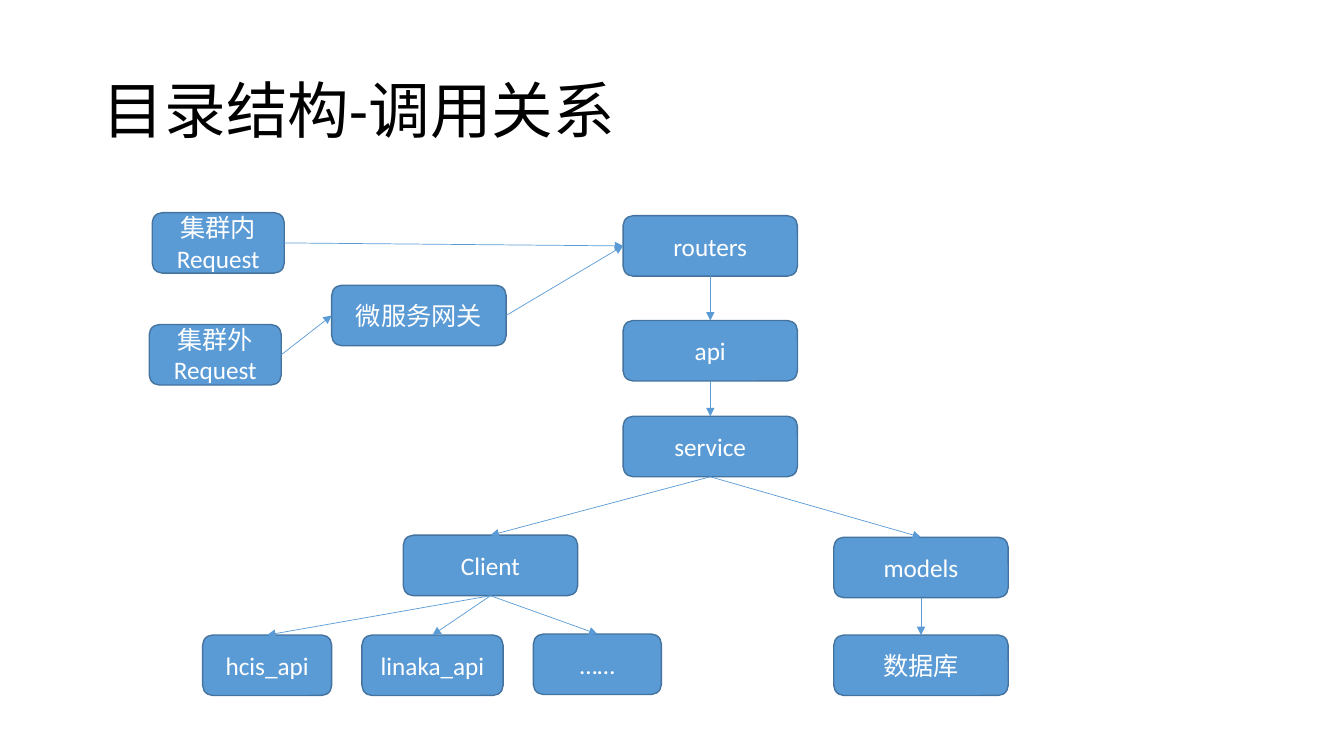
from dataclasses import dataclass

from lxml import etree
from pptx import Presentation
from pptx.dml.color import RGBColor
from pptx.enum.shapes import MSO_CONNECTOR, MSO_SHAPE
from pptx.enum.text import MSO_ANCHOR, PP_ALIGN
from pptx.oxml.ns import qn
from pptx.shapes.autoshape import Shape
from pptx.shapes.connector import Connector
from pptx.slide import Slide
from pptx.util import Inches, Pt

ROUNDED = MSO_SHAPE.ROUNDED_RECTANGLE
STRAIGHT = MSO_CONNECTOR.STRAIGHT
MIDDLE = MSO_ANCHOR.MIDDLE
LEFT, CENTER = PP_ALIGN.LEFT, PP_ALIGN.CENTER
TOP_SITE, LEFT_SITE, BOTTOM_SITE, RIGHT_SITE = range(4)

TITLE_ONLY_LAYOUT = 5
FONT = "Calibri"
COLORS = {"title": "000000", "box": "5B9BD5", "border": "43739E", "label": "FFFFFF"}
BOX_HEIGHT = 0.6


@dataclass(frozen=True)
class Box:
    label: str
    left: float
    top: float
    width: float = 1.73


@dataclass(frozen=True)
class Call:
    caller: str
    callee: str
    sideways: bool = False


BOXES = {
    "routers": Box("routers", 6.18, 2.14),
    "api": Box("api", 6.18, 3.18),
    "service": Box("service", 6.18, 4.13),
    "client": Box("Client", 4, 5.31),
    "models": Box("models", 8.27, 5.33),
    "hcis": Box("hcis_api", 2.01, 6.3, 1.28),
    "linaka": Box("linaka_api", 3.59, 6.3, 1.4),
    "others": Box("……", 5.29, 6.29, 1.27),
    "database": Box("数据库", 8.27, 6.3),
    "gateway": Box("微服务网关", 3.29, 2.83),
    "inside": Box("集群内Request", 1.51, 2.11, 1.31),
    "outside": Box("集群外Request", 1.48, 3.22, 1.31),
}

CALLS = [
    Call("inside", "routers", sideways=True),
    Call("outside", "gateway", sideways=True),
    Call("gateway", "routers", sideways=True),
    Call("routers", "api"),
    Call("api", "service"),
    Call("service", "client"),
    Call("service", "models"),
    Call("client", "hcis"),
    Call("client", "linaka"),
    Call("client", "others"),
    Call("models", "database"),
]


def color(name: str) -> RGBColor:
    return RGBColor.from_string(COLORS[name])


def set_title(slide: Slide, text: str) -> None:
    title = slide.shapes.title
    title.left, title.top = Inches(0.92), Inches(0.4)
    title.width, title.height = Inches(11.5), Inches(1.45)
    title.text_frame.text = text
    title.text_frame.vertical_anchor = MIDDLE
    paragraph = title.text_frame.paragraphs[0]
    paragraph.alignment = LEFT
    paragraph.line_spacing = 0.9
    paragraph.font.name = FONT
    paragraph.font.size = Pt(44)
    paragraph.font.color.rgb = color("title")


def draw_box(slide: Slide, box: Box) -> Shape:
    shape = slide.shapes.add_shape(
        ROUNDED, Inches(box.left), Inches(box.top), Inches(box.width), Inches(BOX_HEIGHT)
    )
    shape.shadow.inherit = False
    shape.fill.solid()
    shape.fill.fore_color.rgb = color("box")
    shape.line.color.rgb = color("border")
    shape.line.width = Pt(1)
    shape.text_frame.word_wrap = True
    shape.text_frame.vertical_anchor = MIDDLE
    shape.text_frame.text = box.label
    paragraph = shape.text_frame.paragraphs[0]
    paragraph.alignment = CENTER
    paragraph.font.name = FONT
    paragraph.font.size = Pt(18)
    paragraph.font.color.rgb = color("label")
    return shape


def draw_arrow(slide: Slide, caller: Shape, callee: Shape, sideways: bool) -> Connector:
    start, end = (RIGHT_SITE, LEFT_SITE) if sideways else (BOTTOM_SITE, TOP_SITE)
    arrow = slide.shapes.add_connector(STRAIGHT, 0, 0, 0, 0)
    arrow.begin_connect(caller, start)
    arrow.end_connect(callee, end)
    arrow.line.color.rgb = color("box")
    arrow.line.width = Pt(0.5)
    etree.SubElement(arrow.line._get_or_add_ln(), qn("a:tailEnd"), type="triangle")
    etree.SubElement(arrow._element.spPr, qn("a:effectLst"))
    return arrow


def main() -> None:
    presentation = Presentation()
    presentation.slide_width, presentation.slide_height = Inches(13.33), Inches(7.5)
    slide = presentation.slides.add_slide(presentation.slide_layouts[TITLE_ONLY_LAYOUT])
    set_title(slide, "目录结构-调用关系")
    shapes = {name: draw_box(slide, box) for name, box in BOXES.items()}
    for call in CALLS:
        draw_arrow(slide, shapes[call.caller], shapes[call.callee], call.sideways)
    presentation.save("out.pptx")


main()
